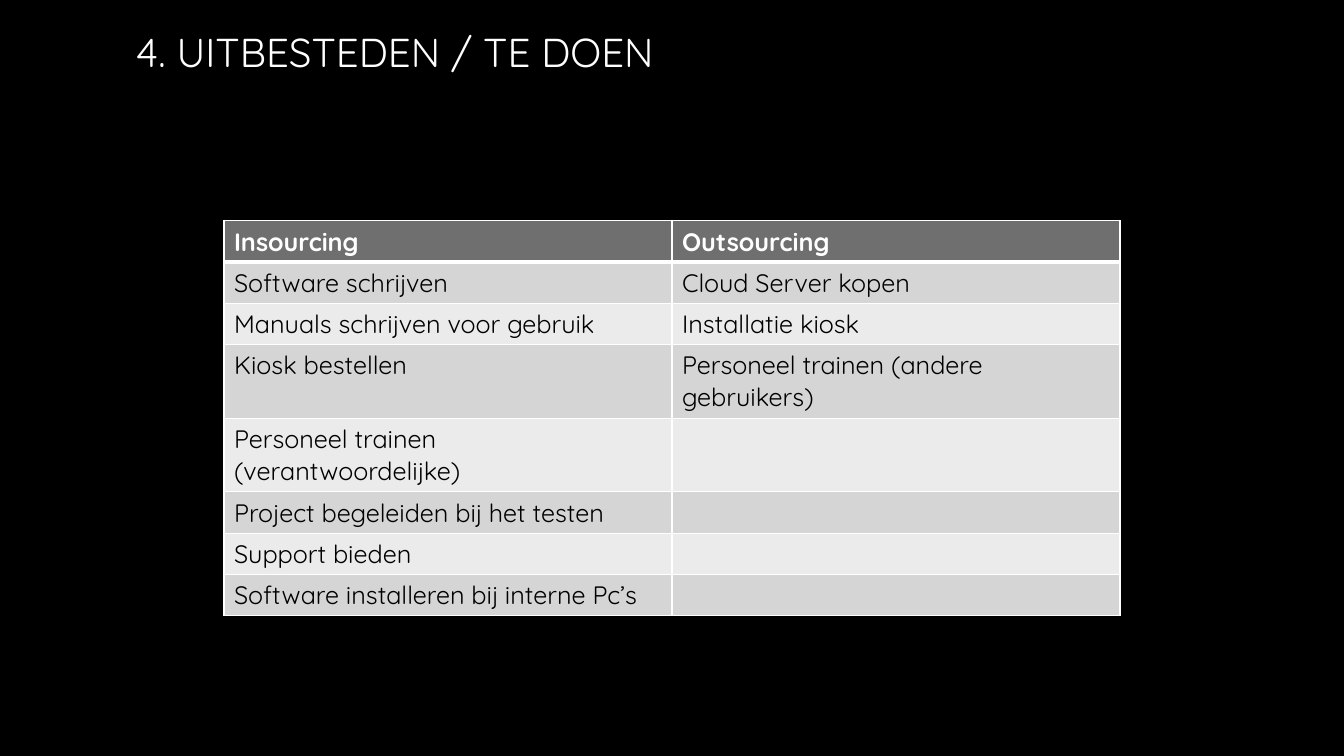
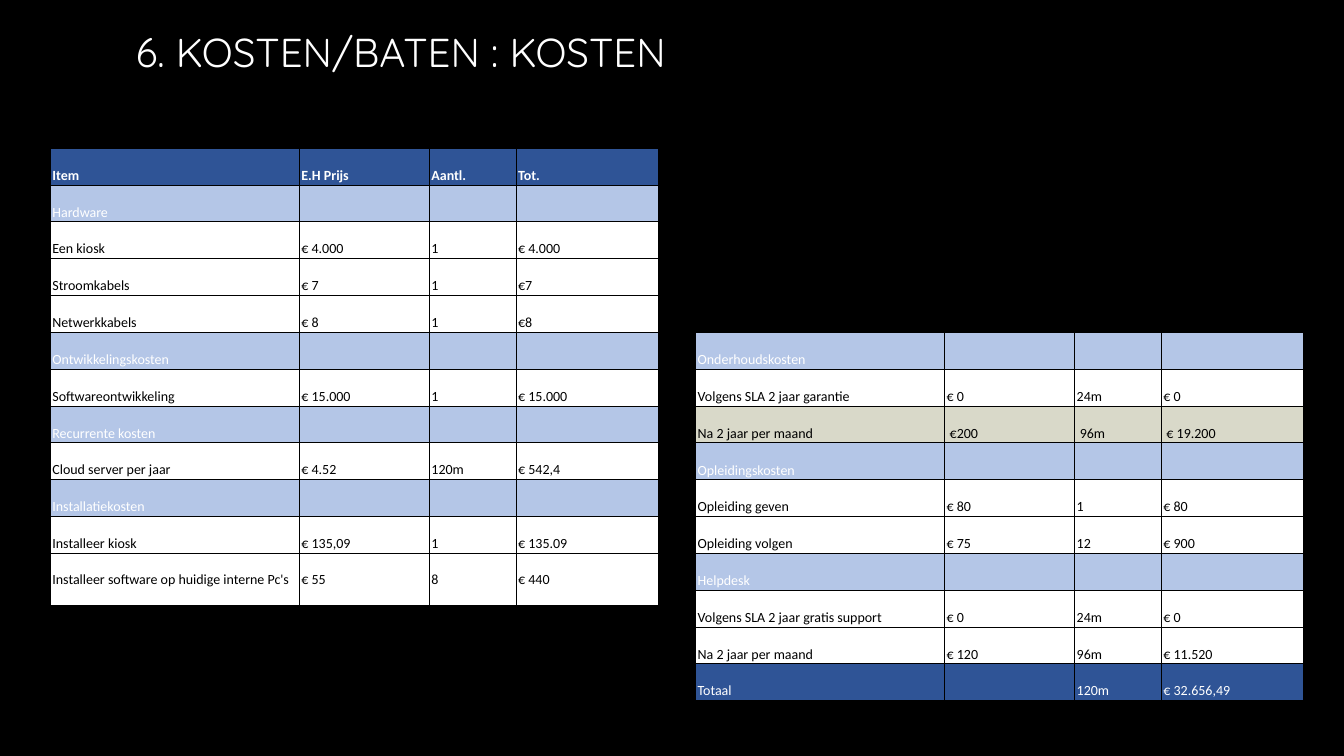
from lxml import etree
from pptx import Presentation, util as u
from pptx.dml.color import RGBColor
from pptx.enum import text
from pptx.oxml.ns import qn

COLORS = {
    "black": "000000", "white": "FFFFFF",
    "gray": "6F6F6F", "odd": "D5D5D5", "even": "EBEBEB",
    "navy": "2F5496", "sky": "B4C6E7", "sand": "D9D9C9",
}
# Row kind: fill, font colour, bold
STYLES = {
    "header": ("gray", "white", True),
    "odd": ("odd", "black", False),
    "even": ("even", "black", False),
    "head": ("navy", "white", True),
    "group": ("sky", "white", False),
    "item": ("white", "black", False),
    "later": ("sand", "black", False),
    "total": ("navy", "white", False),
}
TITLE_FONT, COST_FONT = "Quicksand", "Calibri"

prs = Presentation()
prs.slide_width, prs.slide_height = u.Inches(13.33), u.Inches(7.5)
W, H = prs.slide_width, prs.slide_height


def titled_slide(title):
    s = prs.slides.add_slide(prs.slide_layouts[6])
    s.background.fill.solid()
    s.background.fill.fore_color.rgb = RGBColor.from_string(COLORS["black"])
    sp = s.shapes.add_textbox(W * 3 // 32, H // 30, W * 13 // 16, H * 7 // 100)
    tf = sp.text_frame
    tf.word_wrap = True
    tf.vertical_anchor = text.MSO_ANCHOR.MIDDLE
    tf.text = title
    f = tf.paragraphs[0].runs[0].font
    f.name, f.size = TITLE_FONT, u.Pt(28.8)
    f.color.rgb = RGBColor.from_string(COLORS["white"])
    return s


def add_styled_table(s, left, top, cols, heights, rows, font, size, line, line_width):
    """Each row is (kind, cell text, ...); cells left out stay empty."""
    frame = s.shapes.add_table(len(rows), len(cols), left, top, sum(cols), sum(heights))
    table = frame.table
    table.first_row = table.horz_banding = False
    for column, width in zip(table.columns, cols):
        column.width = width
    for i, (kind, *texts) in enumerate(rows):
        table.rows[i].height = heights[i]
        fill, color, bold = STYLES[kind]
        for j, cell in enumerate(table.rows[i].cells):
            tcPr = cell._tc.get_or_add_tcPr()
            for side in ("L", "R", "T", "B"):
                under_header = (kind, side) == ("header", "B") or (
                    i > 0 and side == "T" and rows[i - 1][0] == "header")
                width = u.Pt(3 if under_header else line_width)
                ln = etree.SubElement(tcPr, qn("a:ln" + side), w=str(width))
                solid = etree.SubElement(ln, qn("a:solidFill"))
                etree.SubElement(solid, qn("a:srgbClr"), val=COLORS[line])
            cell.fill.solid()
            cell.fill.fore_color.rgb = RGBColor.from_string(COLORS[fill])
            if j < len(texts) and texts[j]:
                cell.text = texts[j]
                f = cell.text_frame.paragraphs[0].runs[0].font
                f.name, f.size, f.bold = font, u.Pt(size), bold
                f.color.rgb = RGBColor.from_string(COLORS[color])
    return table


# Outsourcing
s = titled_slide("4. UITBESTEDEN / TE DOEN")
tasks = [
    ("Insourcing", "Outsourcing"),
    ("Software schrijven", "Cloud Server kopen"),
    ("Manuals schrijven voor gebruik", "Installatie kiosk"),
    ("Kiosk bestellen", "Personeel trainen (andere gebruikers)"),
    ("Personeel trainen (verantwoordelijke)",),
    ("Project begeleiden bij het testen",),
    ("Support bieden",),
    ("Software installeren bij interne Pc’s",),
]
kinds = ["header"] + ["odd" if i % 2 else "even" for i in range(1, len(tasks))]
one_line, two_lines = u.Inches(0.41), u.Inches(0.73)
heights = [two_lines if i in (3, 4) else one_line for i in range(len(tasks))]
add_styled_table(s, W // 6, u.Inches(2.19), [W // 3] * 2, heights,
                 [(k, *t) for k, t in zip(kinds, tasks)], TITLE_FONT, 18, "white", 1)

# Costs: both tables share the columns and the row grid
s = titled_slide("6. KOSTEN/BATEN : KOSTEN")
first_costs = [
    ("head", "Item", "E.H Prijs", "Aantl.", "Tot."),
    ("group", "Hardware"),
    ("item", "Een kiosk", "€ 4.000", "1", "€ 4.000"),
    ("item", "Stroomkabels", "€ 7", "1", "€7"),
    ("item", "Netwerkkabels", "€ 8", "1", "€8"),
    ("group", "Ontwikkelingskosten"),
    ("item", "Softwareontwikkeling", "€ 15.000", "1", "€ 15.000"),
    ("group", "Recurrente kosten"),
    ("item", "Cloud server per jaar", "€ 4.52", "120m", "€ 542,4"),
    ("group", "Installatiekosten"),
    ("item", "Installeer kiosk", "€ 135,09", "1", "€ 135.09"),
    ("item", "Installeer software op huidige interne Pc's", "€ 55", "8", "€ 440"),
]
later_costs = [
    ("group", "Onderhoudskosten"),
    ("item", "Volgens SLA 2 jaar garantie", "€ 0", "24m", "€ 0"),
    ("later", "Na 2 jaar per maand", "€200", "96m", "€ 19.200"),
    ("group", "Opleidingskosten"),
    ("item", "Opleiding geven", "€ 80", "1", "€ 80"),
    ("item", "Opleiding volgen", "€ 75", "12", "€ 900"),
    ("group", "Helpdesk"),
    ("item", "Volgens SLA 2 jaar gratis support", "€ 0", "24m", "€ 0"),
    ("item", "Na 2 jaar per maand", "€ 120", "96m", "€ 11.520"),
    ("total", "Totaal", "", "120m", "€ 32.656,49"),
]
cols = [u.Inches(w) for w in (2.47, 1.29, 0.86, 1.41)]
row_height, tall_row = H * 39 // 800, u.Inches(0.52)
top = u.Inches(1.47)
for left, first_row, rows in ((0.5, 0, first_costs), (6.9, 5, later_costs)):
    heights = [row_height] * len(rows)
    if rows is first_costs:
        heights[-1] = tall_row
    table = add_styled_table(s, u.Inches(left), top + first_row * row_height, cols,
                             heights, rows, COST_FONT, 10, "black", 0.75)
    for i, row in enumerate(rows):
        for j, cell in enumerate(table.rows[i].cells):
            indented = row[0] == "later" and j > 0
            cell.margin_left = u.Inches(0.05 if indented else 0.02)
            cell.margin_right = u.Inches(0.02)
            cell.margin_top = cell.margin_bottom = u.Inches(0.01)
            cell.vertical_anchor = (text.MSO_ANCHOR.MIDDLE if heights[i] == tall_row
                                    else text.MSO_ANCHOR.BOTTOM)

prs.save("out.pptx")
